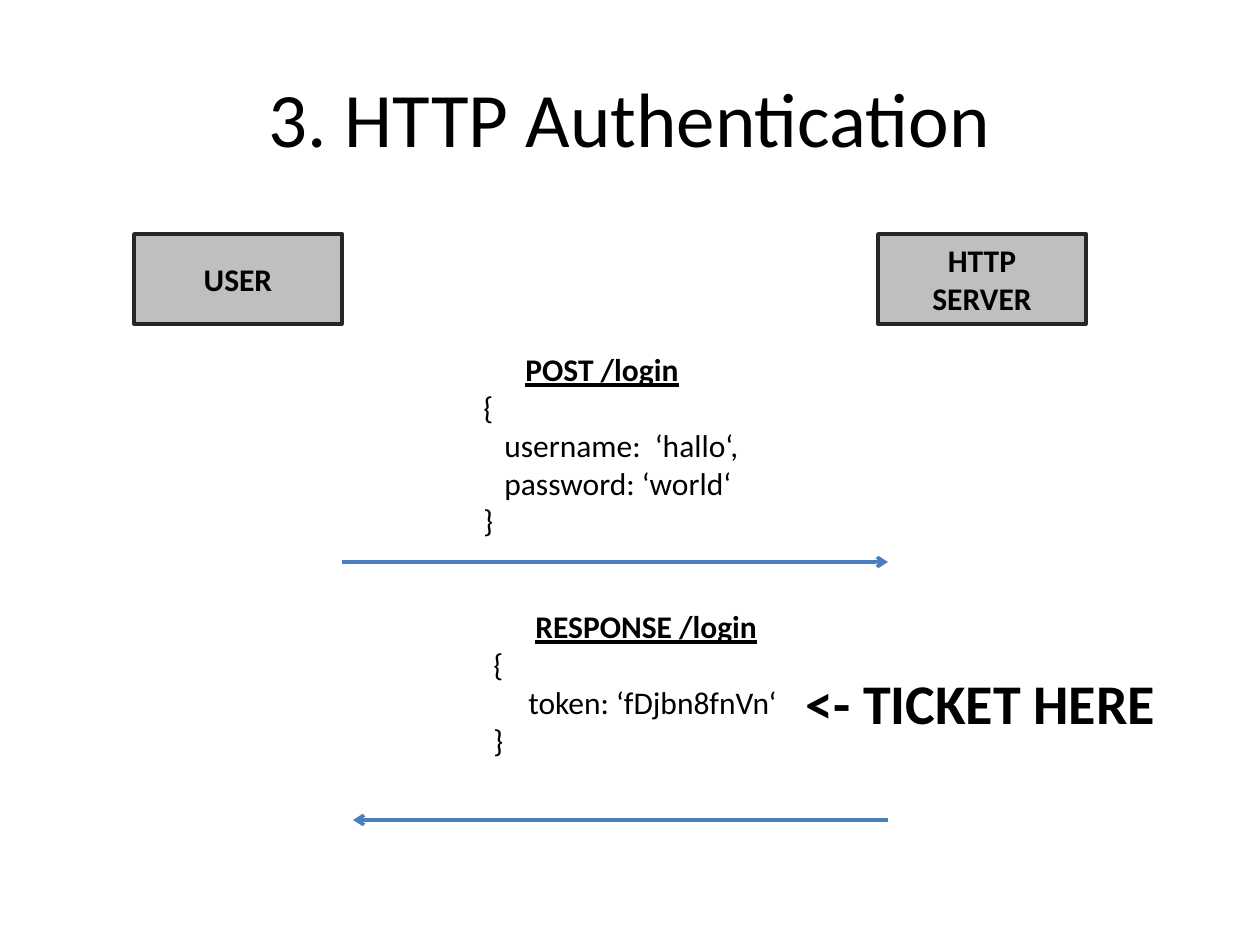
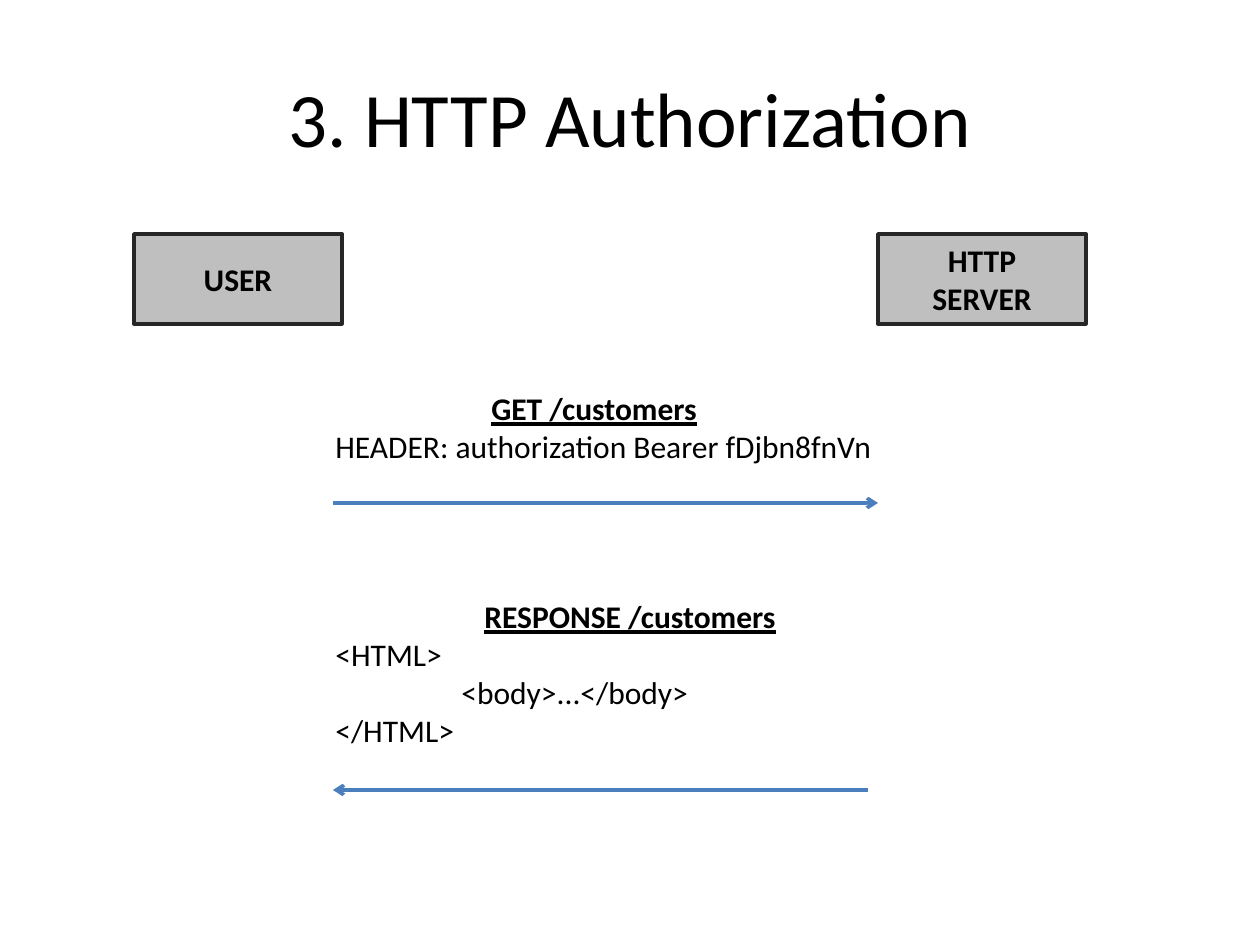
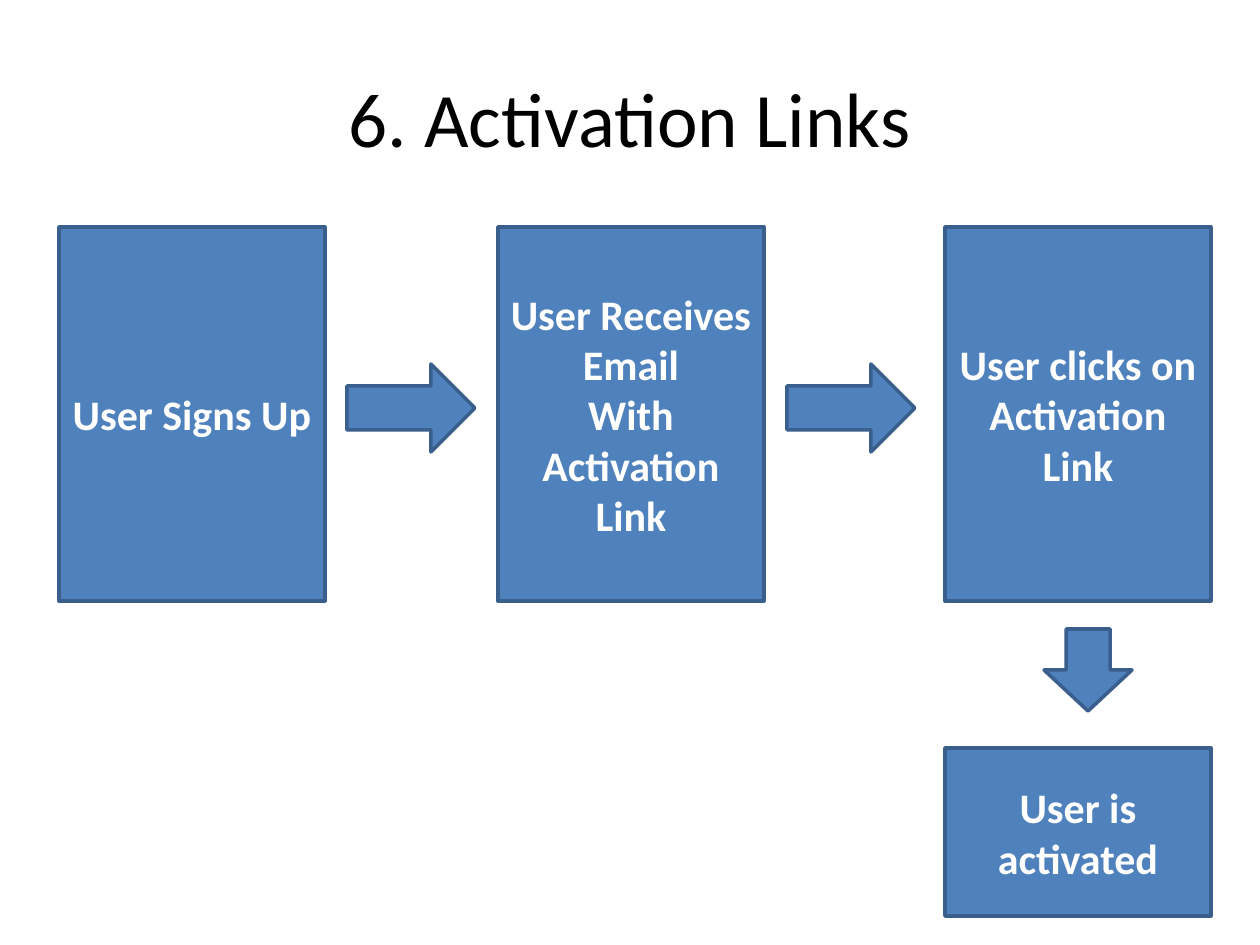
from pptx import Presentation
from pptx import util as u
from pptx.dml.color import RGBColor
from pptx.enum import shapes, text
from pptx.oxml import ns
from lxml import etree

FONT = "Calibri"
BLACK = RGBColor(0x00, 0x00, 0x00)
WHITE = RGBColor(0xFF, 0xFF, 0xFF)
GREY = RGBColor(0xBF, 0xBF, 0xBF)
CHARCOAL = RGBColor(0x26, 0x26, 0x26)
BLUE = RGBColor(0x4F, 0x81, 0xBD)
DARK_BLUE = RGBColor(0x3A, 0x5F, 0x8C)
ARROW_BLUE = RGBColor(0x4B, 0x7E, 0xBC)

PX_PER_INCH = 126
SLIDE_SIZE = (1260, 945)
TITLE_PLACE = (63, 38, 1134, 158)

# Both ends of an HTTP exchange: label, left
PARTIES = [("USER", 134), ("HTTP\nSERVER", 878)]
PARTY_TOP, PARTY_WIDTH, PARTY_HEIGHT = 234, 208, 90

# Messages: place, lines as (indent, text) with the heading first
# Arrows: start x, end x, y
EXCHANGES = [
    {
        "title": "3. HTTP Authentication",
        "messages": [
            ((471, 344, 285, 204), [
                (42, "POST /login"),
                (0, "{"),
                (21, "username:  ‘hallo‘,"),
                (21, "password: ‘world‘"),
                (0, "}"),
            ]),
            ((481, 601, 314, 165), [
                (42, "RESPONSE /login"),
                (0, "{"),
                (35, "token: ‘fDjbn8fnVn‘"),
                (0, "}"),
            ]),
        ],
        "arrows": [(342, 888, 562), (888, 353, 820)],
        "callout": ("<- TICKET HERE", (793, 662, 379, 81)),
    },
    {
        "title": "3. HTTP Authorization",
        "messages": [
            ((323, 383, 568, 89), [
                (156, "GET /customers"),
                (0, "HEADER: authorization Bearer fDjbn8fnVn"),
            ]),
            ((323, 591, 473, 165), [
                (149, "RESPONSE /customers"),
                (0, "<HTML>"),
                (126, "<body>...</body>"),
                (0, "</HTML>"),
            ]),
        ],
        "arrows": [(333, 878, 503), (868, 333, 790)],
    },
]

ACTIVATION_TITLE = "6. Activation Links"
STEP_WIDTH = 266
# Steps: text, left, top, height
STEPS = [
    ("User Signs Up", 59, 227, 374),
    ("User Receives Email\nWith Activation Link", 498, 227, 374),
    ("User clicks on Activation Link", 945, 227, 374),
    ("User is activated", 945, 748, 168),
]
# Block arrows: place, rotation
STEP_ARROWS = [
    ((347, 364, 128, 88), 0),
    ((787, 364, 128, 88), 0),
    ((1047, 626, 82, 88), 90),
]


def px(length):
    return u.Emu(round(length * u.Inches(1) / PX_PER_INCH))


def place_px(place):
    return [px(length) for length in place]


def style_para(para, size, color=BLACK, bold=False, underline=False, align=None):
    para.alignment = align
    for span in para.runs:
        font = span.font
        font.name, font.size = FONT, u.Pt(size)
        font.bold, font.underline = bold, underline
        font.color.rgb = color


def fill_text(shape, words, size, color=BLACK, bold=False, align=text.PP_ALIGN.CENTER):
    frame = shape.text_frame
    frame.word_wrap = True
    frame.vertical_anchor = text.MSO_ANCHOR.MIDDLE
    frame.text = words
    for para in frame.paragraphs:
        style_para(para, size, color, bold, align=align)


def add_block(page, kind, place, fill, outline):
    shape = page.shapes.add_shape(kind, *place_px(place))
    shape.shadow.inherit = False
    shape.fill.solid()
    shape.fill.fore_color.rgb = fill
    shape.line.color.rgb = outline
    shape.line.width = u.Pt(2)
    return shape


def add_message(page, place, lines):
    frame = page.shapes.add_textbox(*place_px(place)).text_frame
    frame.word_wrap = True
    frame.text = "\n".join(words for _, words in lines)
    for number, (para, (indent, _)) in enumerate(zip(frame.paragraphs, lines)):
        heading = number == 0
        style_para(para, 18, bold=heading, underline=heading)
        para._p.get_or_add_pPr().set("marL", str(px(indent)))


def add_arrow(page, start, end, y):
    arrow = page.shapes.add_connector(
        shapes.MSO_CONNECTOR.STRAIGHT, px(start), px(y), px(end), px(y))
    arrow.line.color.rgb = ARROW_BLUE
    arrow.line.width = u.Pt(2)
    line = arrow.line._get_or_add_ln()
    etree.SubElement(line, ns.qn("a:tailEnd"), type="arrow")
    etree.SubElement(arrow._element.spPr, ns.qn("a:effectLst"))


def add_page(deck, title):
    page = deck.slides.add_slide(deck.slide_layouts[6])
    fill_text(page.shapes.add_textbox(*place_px(TITLE_PLACE)), title, 44)
    return page


def add_exchange(deck, exchange):
    page = add_page(deck, exchange["title"])
    for label, left in PARTIES:
        place = (left, PARTY_TOP, PARTY_WIDTH, PARTY_HEIGHT)
        box = add_block(page, shapes.MSO_SHAPE.RECTANGLE, place, GREY, CHARCOAL)
        fill_text(box, label, 18, bold=True)
    for arrow, message in zip(exchange["arrows"], exchange["messages"]):
        add_arrow(page, *arrow)
        add_message(page, *message)
    if "callout" in exchange:
        words, place = exchange["callout"]
        box = page.shapes.add_textbox(*place_px(place))
        fill_text(box, words, 32, bold=True, align=text.PP_ALIGN.LEFT)


def add_activation(deck):
    page = add_page(deck, ACTIVATION_TITLE)
    for words, left, top, height in STEPS:
        place = (left, top, STEP_WIDTH, height)
        box = add_block(page, shapes.MSO_SHAPE.RECTANGLE, place, BLUE, DARK_BLUE)
        fill_text(box, words, 24, WHITE, bold=True)
    for place, rotation in STEP_ARROWS:
        arrow = add_block(page, shapes.MSO_SHAPE.RIGHT_ARROW, place, BLUE, DARK_BLUE)
        arrow.rotation = rotation


def main():
    deck = Presentation()
    deck.slide_width, deck.slide_height = place_px(SLIDE_SIZE)
    for exchange in EXCHANGES:
        add_exchange(deck, exchange)
    add_activation(deck)
    deck.save("out.pptx")


if __name__ == "__main__":
    main()
